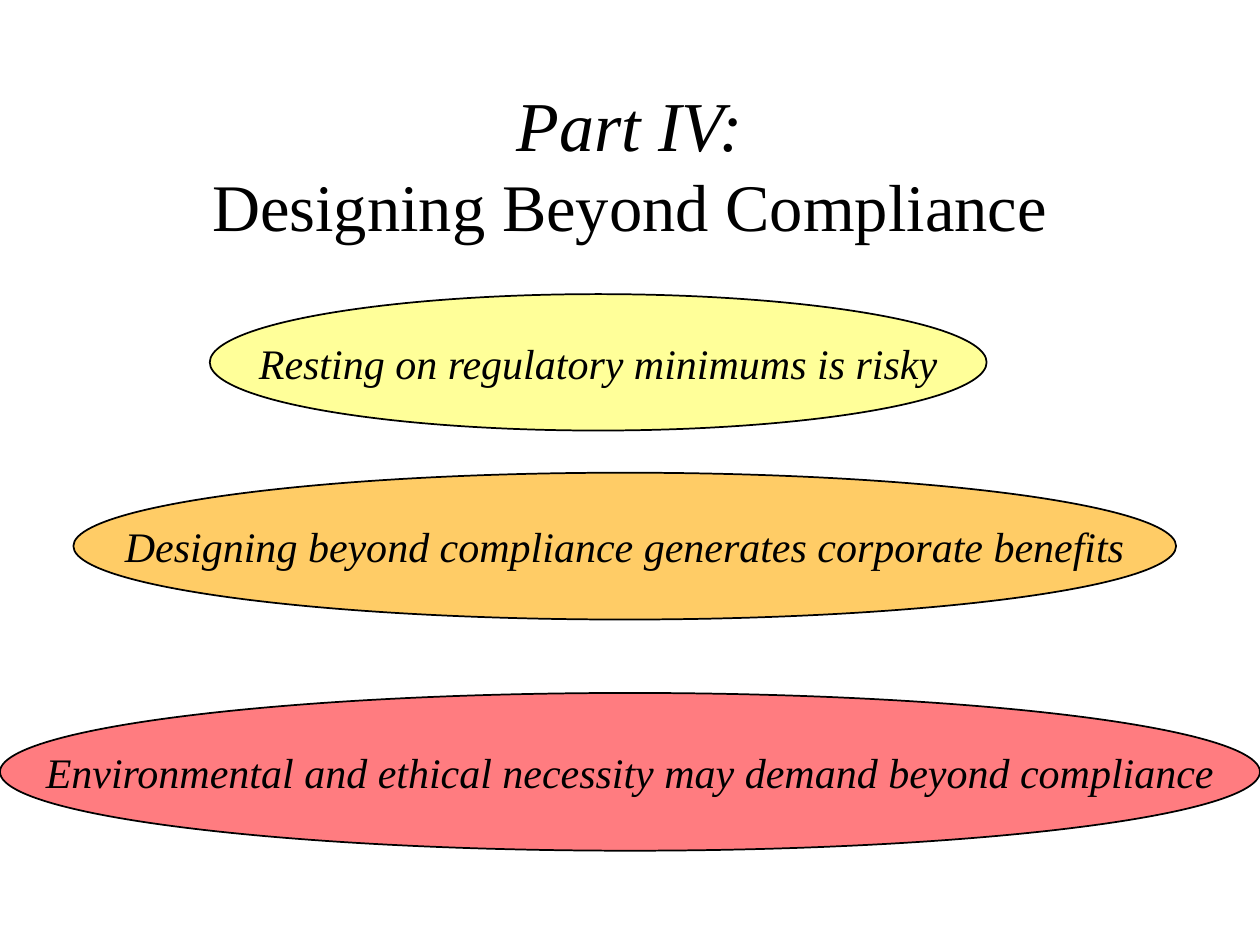
from pptx import Presentation
from pptx.dml.color import RGBColor
from pptx.enum.shapes import MSO_SHAPE
from pptx.enum.text import MSO_ANCHOR, MSO_AUTO_SIZE, PP_ALIGN
from pptx.util import Cm, Pt

OVAL = MSO_SHAPE.OVAL
MIDDLE = MSO_ANCHOR.MIDDLE
CENTER = PP_ALIGN.CENTER
FIXED = MSO_AUTO_SIZE.NONE
TITLE_ONLY = 5

OVALS = [
    ("Resting on regulatory minimums is risky",
     (4.23, 5.93, 15.66, 2.75), "FFFF99"),
    ("Designing beyond compliance generates corporate benefits",
     (1.48, 9.53, 22.23, 2.96), "FFCC66"),
    ("Environmental and ethical necessity may demand beyond compliance",
     (0, 13.97, 25.4, 3.18), "FF7C80"),
]


def color(code):
    return RGBColor.from_string(code)


class Deck:
    font = "Times New Roman"
    ink = "000000"
    size = 24

    def __init__(self, width, height):
        self.file = Presentation()
        self.file.slide_width = Cm(width)
        self.file.slide_height = Cm(height)
        self.slide = self.file.slides.add_slide(
            self.file.slide_layouts[TITLE_ONLY])

    def style(self, frame, wrap):
        frame.auto_size = FIXED
        frame.word_wrap = wrap
        frame.vertical_anchor = MIDDLE
        para = frame.paragraphs[0]
        para.alignment = CENTER
        para.font.name = self.font
        para.font.color.rgb = color(self.ink)
        return para

    def title(self, part, topic, box):
        shape = self.slide.shapes.title
        shape.left, shape.top, shape.width, shape.height = map(Cm, box)
        para = self.style(shape.text_frame, True)
        lead = para.add_run()
        lead.text = part
        lead.font.size = Pt(40)
        lead.font.italic = True
        para.add_line_break()
        main = para.add_run()
        main.text = topic
        main.font.size = Pt(38)

    def oval(self, text, box, fill):
        shape = self.slide.shapes.add_shape(OVAL, *map(Cm, box))
        shape.shadow.inherit = False
        shape.fill.solid()
        shape.fill.fore_color.rgb = color(fill)
        shape.line.color.rgb = color(self.ink)
        shape.line.width = Pt(1)
        para = self.style(shape.text_frame, False)
        para.text = text
        para.font.size = Pt(self.size)
        para.font.italic = True


def main():
    deck = Deck(25.4, 19.05)
    deck.title("Part IV:", "Designing Beyond Compliance",
               (1.9, 1.7, 21.6, 3.18))
    for text, box, fill in OVALS:
        deck.oval(text, box, fill)
    deck.file.save("out.pptx")


if __name__ == "__main__":
    main()
